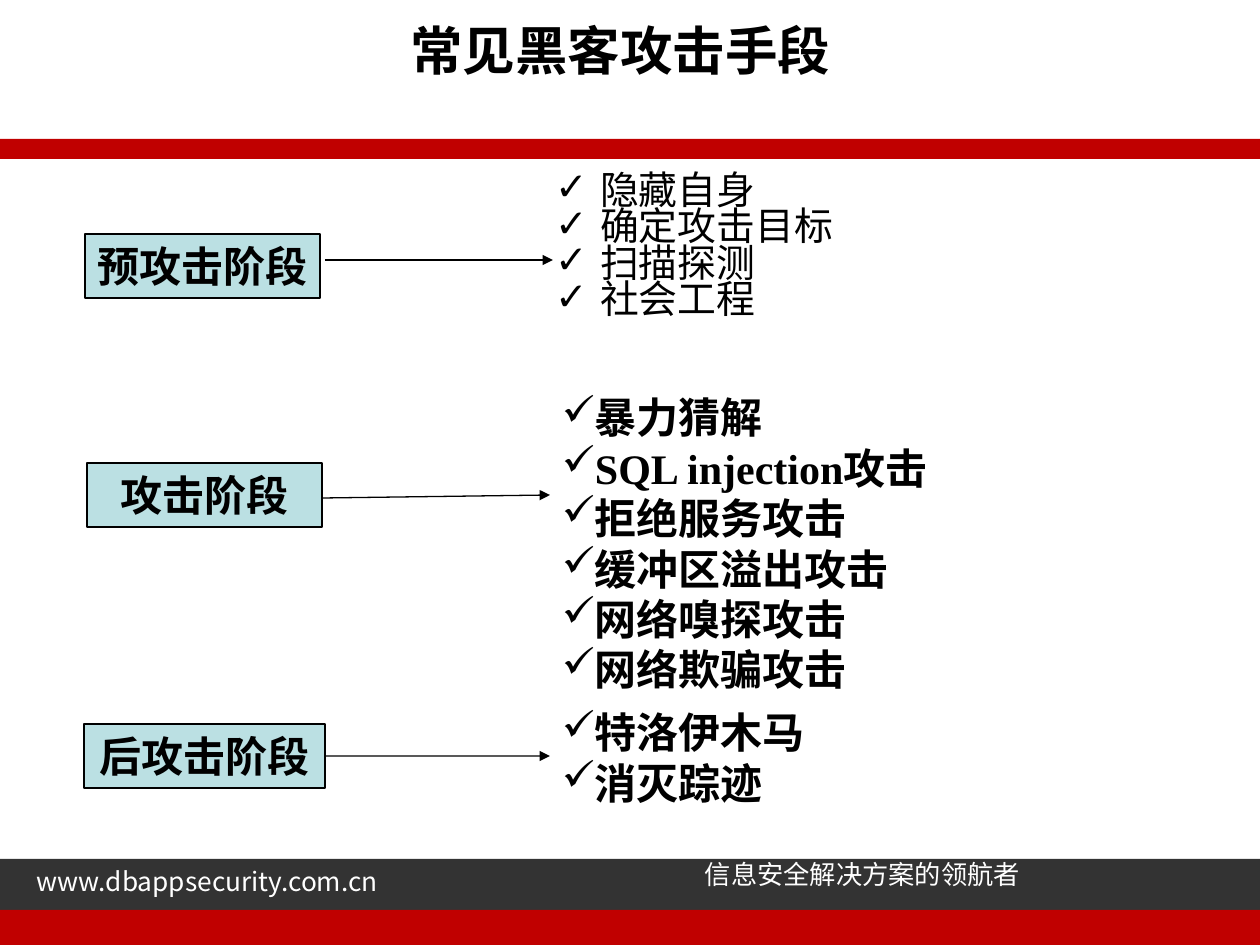
import pptx
import pptx.util
import pptx.dml.color
import pptx.enum.shapes
import pptx.enum.text
import pptx.oxml
import pptx.oxml.ns
import lxml.etree

SCALE = 914400 / 126
COLORS = {"red": "C00000", "dark": "333333", "white": "FFFFFF",
          "black": "000000", "stage": "BBE0E3"}
SANS, SERIF = "Noto Sans CJK SC", "Times New Roman"

TITLE = ("常见黑客攻击手段", (158, 10, 925, 71))
BARS = [("dark", (0, 859, 1260, 59)), ("red", (0, 910, 1260, 35)),
        ("red", (0, 139, 1260, 20))]
FOOTERS = [("信息安全解决方案的领航者", (692, 852, 340, 44)),
           ("www.dbappsecurity.com.cn", (24, 859, 365, 44))]
STAGES = [
    {"name": "预攻击阶段", "box": (85, 234, 235, 64), "arrow": (325, 260, 553, 260),
     "list": (539, 170, 350, 178),
     "methods": ["隐藏自身", "确定攻击目标", "扫描探测", "社会工程"]},
    {"name": "攻击阶段", "box": (87, 463, 235, 64), "arrow": (322, 498, 550, 495),
     "list": (549, 386, 456, 315),
     "methods": ["暴力猜解", "SQL injection攻击", "拒绝服务攻击",
                 "缓冲区溢出攻击", "网络嗅探攻击", "网络欺骗攻击"]},
    {"name": "后攻击阶段", "box": (84, 724, 241, 64), "arrow": (325, 756, 550, 756),
     "list": (549, 701, 377, 113), "methods": ["特洛伊木马", "消灭踪迹"]},
]


def px(value):
    return pptx.util.Emu(round(value * SCALE))


def rgb(name):
    return pptx.dml.color.RGBColor.from_string(COLORS[name])


def place(shape, area):
    shape.left, shape.top, shape.width, shape.height = map(px, area)


def style(font, face, size, color="black", bold=False):
    font.name, font.size, font.bold = face, pptx.util.Pt(size), bold
    font.color.rgb = rgb(color)


def set_frame(frame, wrap=True, margins=(13, 6),
              anchor=pptx.enum.text.MSO_ANCHOR.TOP):
    frame.word_wrap = wrap
    frame.auto_size = pptx.enum.text.MSO_AUTO_SIZE.NONE
    frame.vertical_anchor = anchor
    frame.margin_left = frame.margin_right = px(margins[0])
    frame.margin_top = frame.margin_bottom = px(margins[1])


def add_rectangle(page, area, color):
    shape = page.shapes.add_shape(
        pptx.enum.shapes.MSO_SHAPE.RECTANGLE, *map(px, area))
    shape.shadow.inherit = False
    shape.fill.solid()
    shape.fill.fore_color.rgb = rgb(color)
    shape.line.fill.background()
    return shape


def add_check(para, indent):
    properties = para._p.get_or_add_pPr()
    properties.set("marL", str(px(indent)))
    properties.set("indent", str(-px(indent)))
    bullet = lxml.etree.SubElement(properties, pptx.oxml.ns.qn("a:buChar"))
    bullet.set("char", "✓")


def fill_list(frame, methods, size, bold, indent=0, spacing=None, before=None):
    for index, method in enumerate(methods):
        para = frame.add_paragraph() if index else frame.paragraphs[0]
        para.text = method
        add_check(para, indent)
        if spacing:
            para.line_spacing = spacing
            para.space_before = pptx.util.Pt(before if index else 0)
        style(para.font, SERIF, size, bold=bold)


def add_stage(page, stage):
    box = add_rectangle(page, stage["box"], "stage")
    box.line.color.rgb = rgb("black")
    box.line.width = pptx.util.Pt(0.75)
    set_frame(box.text_frame, False, anchor=pptx.enum.text.MSO_ANCHOR.MIDDLE)
    para = box.text_frame.paragraphs[0]
    para.text = stage["name"]
    para.alignment = pptx.enum.text.PP_ALIGN.CENTER
    style(para.font, SERIF, 24, bold=True)

    arrow = page.shapes.add_connector(
        pptx.enum.shapes.MSO_CONNECTOR.STRAIGHT, *map(px, stage["arrow"]))
    left, top, width, height = stage["box"]
    if stage["arrow"][:2] == (left + width, top + height / 2):
        arrow.begin_connect(box, 3)
    arrow.line.color.rgb = rgb("black")
    arrow.line.width = pptx.util.Pt(0.75)
    head = lxml.etree.SubElement(arrow.line._get_or_add_ln(),
                                 pptx.oxml.ns.qn("a:tailEnd"))
    head.set("type", "triangle")
    lxml.etree.SubElement(arrow._element.spPr, pptx.oxml.ns.qn("a:effectLst"))


def main():
    deck = pptx.Presentation()
    deck.slide_width, deck.slide_height = px(1260), px(945)
    page = deck.slides.add_slide(deck.slide_layouts[1])

    for color, area in BARS:
        add_rectangle(page, area, color)
    for text, area in FOOTERS:
        box = page.shapes.add_textbox(*map(px, area))
        set_frame(box.text_frame, False)
        para = box.text_frame.paragraphs[0]
        para.text = text
        style(para.font, SANS, 15, "white")

    text, area = TITLE
    title = page.shapes.title
    place(title, area)
    set_frame(title.text_frame, margins=(16, 8))
    para = title.text_frame.paragraphs[0]
    para.text = text
    para.alignment = pptx.enum.text.PP_ALIGN.CENTER
    style(para.font, SANS, 30, bold=True)

    body = page.placeholders[1]
    place(body, STAGES[0]["list"])
    set_frame(body.text_frame, margins=(16, 8))
    fill_list(body.text_frame, STAGES[0]["methods"], 22.2, False, 45, 0.7, 2.2)
    for stage in STAGES[1:]:
        box = page.shapes.add_textbox(*map(px, stage["list"]))
        set_frame(box.text_frame)
        fill_list(box.text_frame, stage["methods"], 24, True)
    for stage in STAGES:
        add_stage(page, stage)

    deck.save("out.pptx")


if __name__ == "__main__":
    main()
